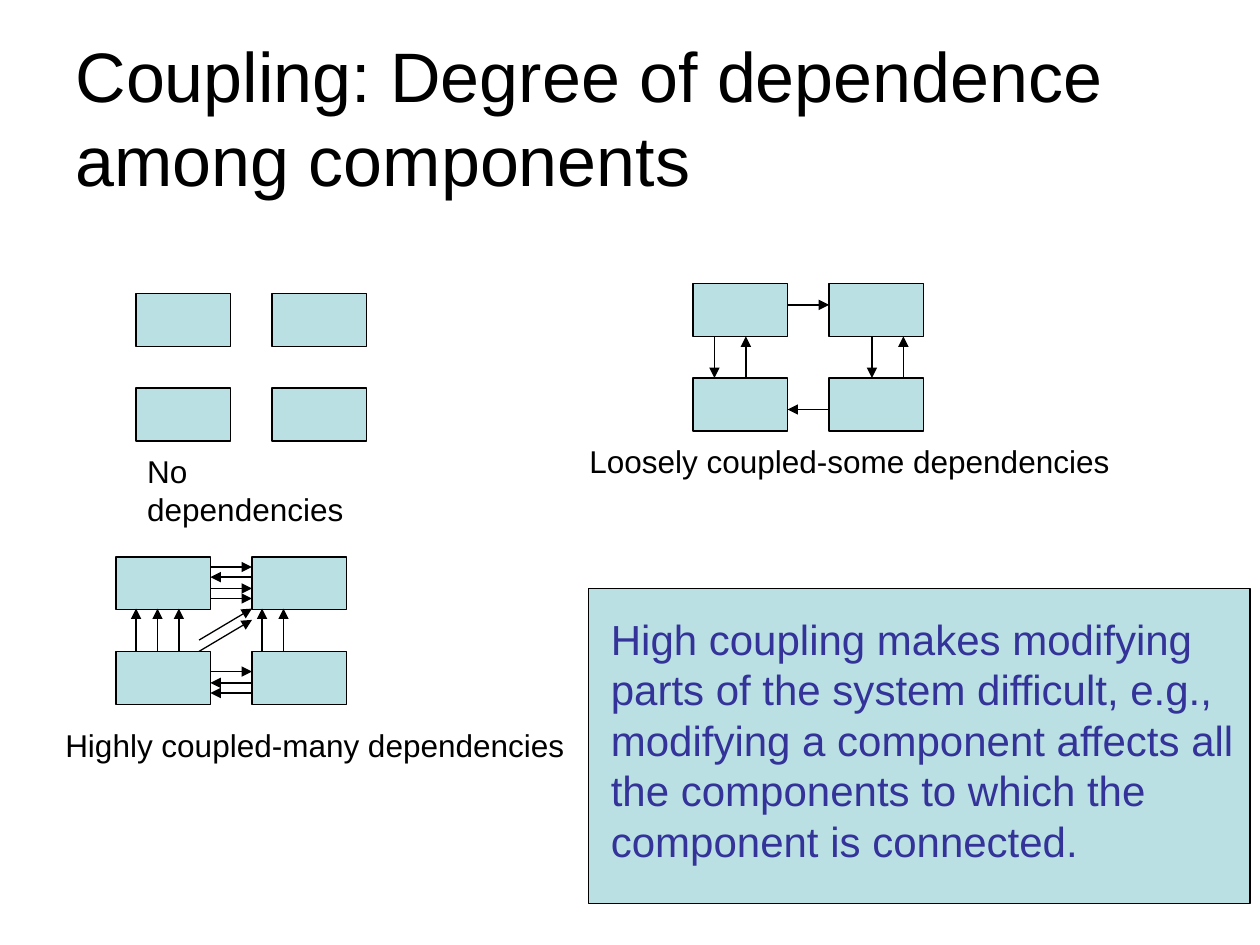
import pptx
import pptx.dml.color
import pptx.enum.shapes
import pptx.enum.text
import pptx.oxml
import pptx.oxml.ns
import pptx.util

Inches = pptx.util.Inches
BLACK = pptx.dml.color.RGBColor(0x00, 0x00, 0x00)
PALE_TEAL = pptx.dml.color.RGBColor(0xBB, 0xE0, 0xE3)
INDIGO = pptx.dml.color.RGBColor(0x33, 0x33, 0x99)
FONT = "Arial"
LINE_WIDTH = pptx.util.Pt(0.75)

# Component grid: box size and distance between neighbouring boxes
BOX_WIDTH, BOX_HEIGHT = 0.75, 0.42
STEP_X, STEP_Y = 1.08, 0.75


def write_text(frame, text, size=18, color=BLACK, wrap=True, space_before=0,
               anchor=pptx.enum.text.MSO_ANCHOR.TOP):
    """Put one formatted, left-aligned paragraph into a text frame."""
    frame.word_wrap = wrap
    frame.vertical_anchor = anchor
    paragraph = frame.paragraphs[0]
    paragraph.alignment = pptx.enum.text.PP_ALIGN.LEFT
    paragraph.space_before = pptx.util.Pt(space_before)
    run = paragraph.add_run()
    run.text = text
    run.font.name = FONT
    run.font.size = pptx.util.Pt(size)
    run.font.color.rgb = color


class SlideBuilder:
    """Holds the slide and draws its elements in one style."""

    def __init__(self, slide):
        self.slide = slide

    def title(self, text, left, top, width, height):
        shape = self.slide.shapes.title
        shape.left, shape.top = Inches(left), Inches(top)
        shape.width, shape.height = Inches(width), Inches(height)
        write_text(shape.text_frame, text, size=40,
                   anchor=pptx.enum.text.MSO_ANCHOR.MIDDLE)

    def box(self, left, top, width=BOX_WIDTH, height=BOX_HEIGHT):
        shape = self.slide.shapes.add_shape(
            pptx.enum.shapes.MSO_SHAPE.RECTANGLE,
            Inches(left), Inches(top), Inches(width), Inches(height))
        shape.shadow.inherit = False
        shape.fill.solid()
        shape.fill.fore_color.rgb = PALE_TEAL
        shape.line.color.rgb = BLACK
        shape.line.width = LINE_WIDTH

    def component_grid(self, left, top):
        for column in range(2):
            for row in range(2):
                self.box(left + column * STEP_X, top + row * STEP_Y)

    def text(self, text, left, top, width, height, **text_format):
        shape = self.slide.shapes.add_textbox(
            Inches(left), Inches(top), Inches(width), Inches(height))
        write_text(shape.text_frame, text, **text_format)
        shape.text_frame.auto_size = pptx.enum.text.MSO_AUTO_SIZE.SHAPE_TO_FIT_TEXT

    def arrow(self, start_x, start_y, end_x, end_y):
        connector = self.slide.shapes.add_connector(
            pptx.enum.shapes.MSO_CONNECTOR.STRAIGHT,
            Inches(start_x), Inches(start_y), Inches(end_x), Inches(end_y))
        connector.line.color.rgb = BLACK
        connector.line.width = LINE_WIDTH
        line = connector.line._get_or_add_ln()
        head = pptx.oxml.parse_xml(
            f'<a:tailEnd {pptx.oxml.ns.nsdecls("a")} type="triangle"/>')
        line.append(head)
        effects = pptx.oxml.parse_xml(
            f'<a:effectLst {pptx.oxml.ns.nsdecls("a")}/>')
        line.addnext(effects)


def main():
    presentation = pptx.Presentation()
    presentation.slide_width = Inches(10)
    presentation.slide_height = Inches(7.5)
    title_only = presentation.slide_layouts[5]
    builder = SlideBuilder(presentation.slides.add_slide(title_only))

    builder.title("Coupling: Degree of dependence among components",
                  0.5, 0.3, 9, 1.25)

    # No dependencies
    builder.component_grid(1.08, 2.33)
    builder.text("No dependencies", 1.07, 3.54, 2.14, 0.4, wrap=False)

    # Loose coupling: a pair of arrows in each column, one arrow in each row
    builder.component_grid(5.5, 2.25)
    for down_x in (5.67, 6.92):
        builder.arrow(down_x, 2.67, down_x, 3)
        builder.arrow(down_x + 0.25, 3, down_x + 0.25, 2.67)
    builder.arrow(6.25, 2.42, 6.58, 2.42)
    builder.arrow(6.58, 3.25, 6.25, 3.25)
    builder.text("Loosely coupled-some dependencies", 4.58, 3.46, 4.33, 0.4,
                 wrap=False)

    # High coupling: upward, sideways and diagonal arrows
    builder.component_grid(0.92, 4.42)
    for x in (1.08, 1.25, 1.42, 2.08, 2.25):
        builder.arrow(x, 5.17, x, 4.83)
    for y in (4.5, 4.67, 4.75, 5.33):
        builder.arrow(1.67, y, 2, y)
    for y in (4.58, 5.42, 5.5):
        builder.arrow(2, y, 1.67, y)
    for y in (5.08, 5.17):
        builder.arrow(1.58, y, 2, y - 0.25)
    builder.text("Highly coupled-many dependencies", 0.42, 5.71, 4.16, 0.4,
                 wrap=False)

    # Conclusion panel
    builder.box(4.67, 4.67, 5.25, 2.5)
    builder.text("High coupling makes modifying parts of the system difficult, "
                 "e.g., modifying a component affects all the components to "
                 "which the component is connected.",
                 4.75, 4.82, 5.33, 2.1, size=24, color=INDIGO, space_before=6)

    presentation.save("out.pptx")


if __name__ == "__main__":
    main()
